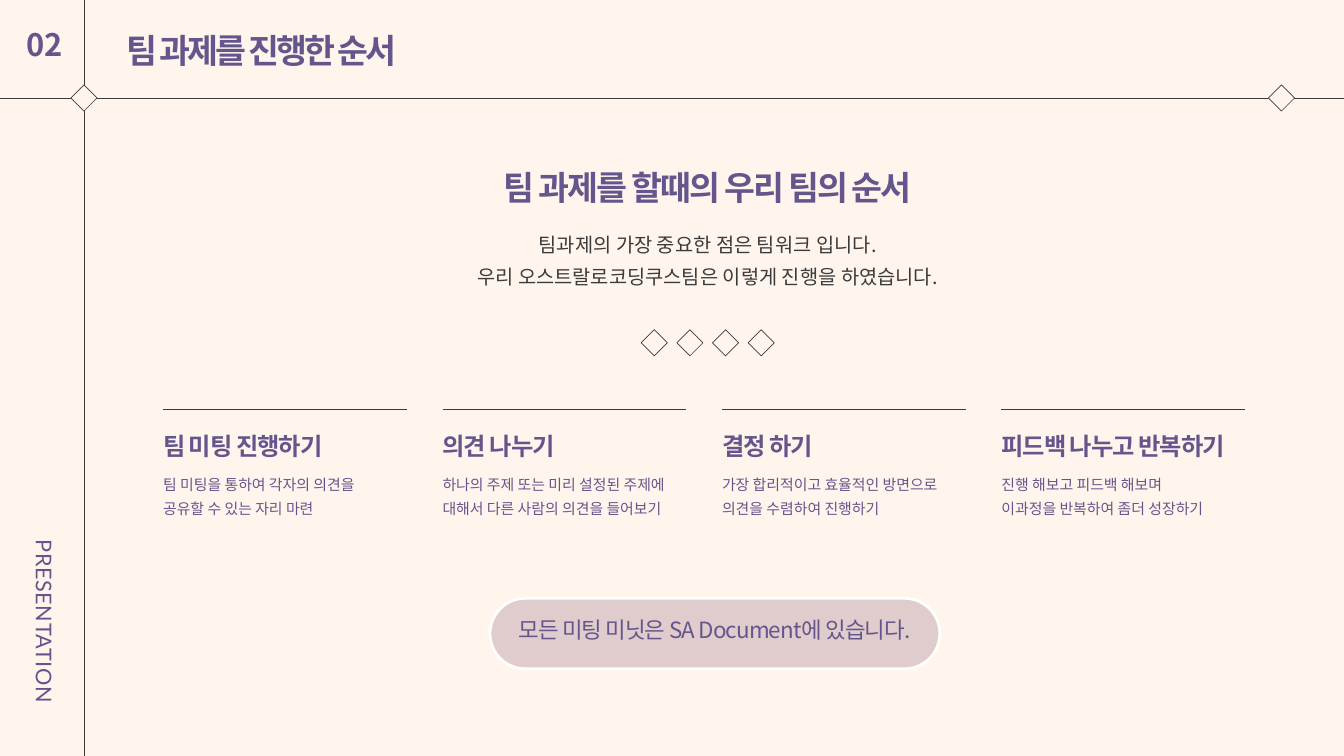
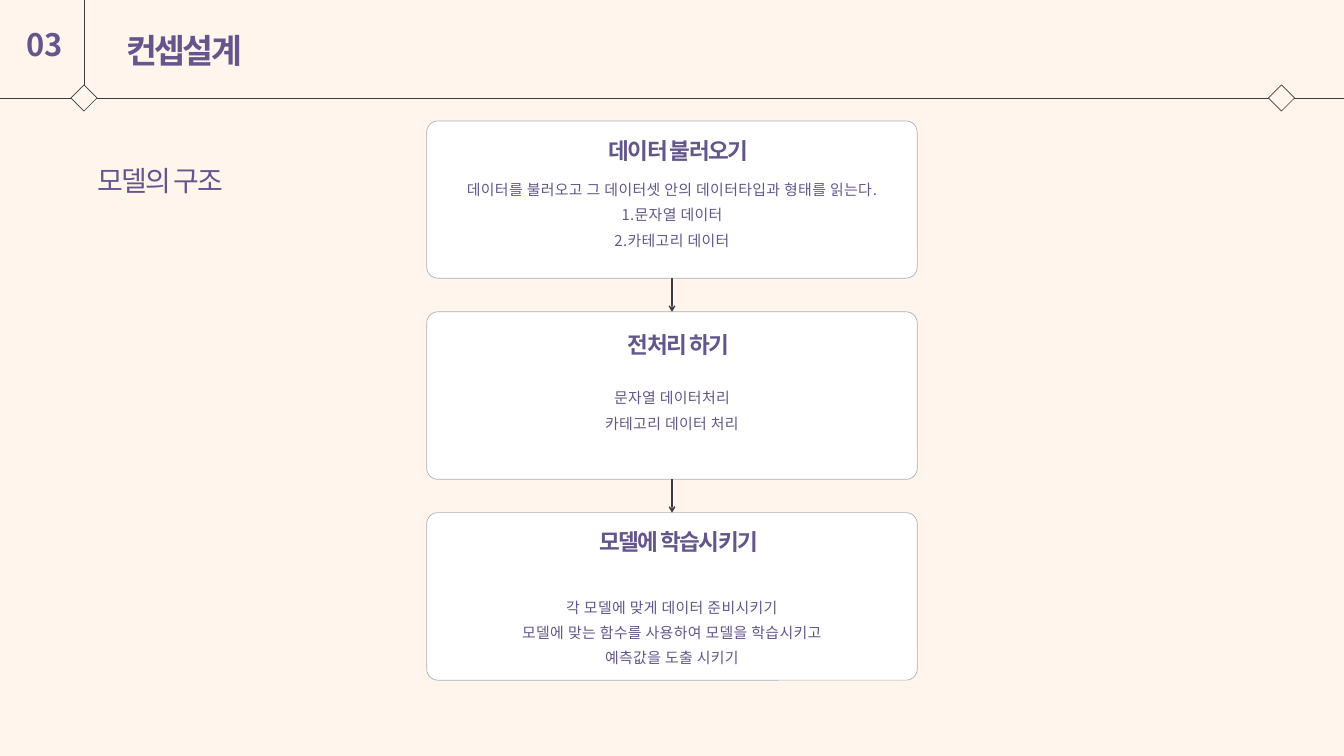
from dataclasses import dataclass
from itertools import pairwise

from lxml.etree import SubElement
from pptx import Presentation
from pptx.dml.color import RGBColor
from pptx.enum.shapes import MSO_CONNECTOR as Link, MSO_SHAPE as Form
from pptx.enum.text import MSO_ANCHOR as Anchor, MSO_AUTO_SIZE as Fit, PP_ALIGN as Align
from pptx.oxml.ns import qn
from pptx.shapes.autoshape import Shape
from pptx.shapes.connector import Connector
from pptx.slide import Slide
from pptx.text.text import TextFrame
from pptx.util import Pt

CREAM = RGBColor(0xFF, 0xF5, 0xED)
PURPLE = RGBColor(0x64, 0x56, 0x8C)
DARK = RGBColor(0x3B, 0x3B, 0x3B)
ROSE = RGBColor(0xE0, 0xCC, 0xCC)
WHITE = RGBColor(0xFF, 0xFF, 0xFF)
GRAY = RGBColor(0xA6, 0xB0, 0xB5)
KOREAN = "Noto Sans CJK KR"
WIDTH, HEIGHT = 1440, 810
RULE_X, RULE_Y = 90, 105
GEM = 28


@dataclass(frozen=True)
class Style:
    size: float
    lead: float
    space: float = 0
    bold: bool = False
    color: RGBColor = PURPLE
    align: Align = Align.LEFT
    face: str = KOREAN


@dataclass(frozen=True)
class Box:
    left: float
    top: float
    width: float
    height: float


@dataclass(frozen=True)
class Step:
    head: str
    body: str


@dataclass(frozen=True)
class Card:
    top: float
    height: float
    head: str
    head_top: float
    body: str
    body_top: float
    body_height: float


TITLE = Style(36, 50.4, -3.1, True)
NUMBER = Style(33.1, 27.1, bold=True)
SIDE = Style(23.2, 19, 0.6, face="Lato")
LEAD = Style(36, 50.4, -2, True, align=Align.CENTER)
INTRO = Style(21.2, 34.8, color=DARK, align=Align.CENTER)
STEP_HEAD = Style(26, 36.4, -1.1, True)
STEP_BODY = Style(16, 26.1)
PILL = Style(24, 32.4, -1, align=Align.CENTER)
TOPIC = Style(30, 42, -2)
CARD_HEAD = Style(24.2, 36.3, -1.7, True, align=Align.CENTER)
CARD_BODY = Style(16, 27, 0.4, align=Align.CENTER)

STEPS = (
    Step("팀 미팅 진행하기", "팀 미팅을 통하여 각자의 의견을\n공유할 수 있는 자리 마련"),
    Step("의견 나누기", "하나의 주제 또는 미리 설정된 주제에\n대해서 다른 사람의 의견을 들어보기"),
    Step("결정 하기", "가장 합리적이고 효율적인 방면으로\n의견을 수렴하여 진행하기"),
    Step("피드백 나누고 반복하기", "진행 해보고 피드백 해보며\n이과정을 반복하여 좀더 성장하기"),
)
CARDS = (
    Card(129.6, 168.5, "데이터 불러오기", 139.7,
         "데이터를 불러오고 그 데이터셋 안의 데이터타입과 형태를 읽는다.\n"
         "1.문자열 데이터\n2.카테고리 데이터", 185.8, 79),
    Card(334.1, 179.5, "전처리 하기", 347,
         "문자열 데이터처리\n카테고리 데이터 처리", 409, 52),
    Card(549.3, 179.5, "모델에 학습시키기", 558.7,
         "각 모델에 맞게 데이터 준비시키기\n"
         "모델에 맞는 함수를 사용하여 모델을 학습시키고\n"
         "예측값을 도출 시키기", 633, 106),
)


def fill_text(frame: TextFrame, text: str, style: Style) -> None:
    frame.word_wrap = True
    frame.margin_left = frame.margin_right = 0
    frame.margin_top = frame.margin_bottom = 0
    frame.text = text
    for para in frame.paragraphs:
        para.alignment = style.align
        para.line_spacing = Pt(style.lead)
        font = para.font
        font.size = Pt(style.size)
        font.bold = style.bold
        font.color.rgb = style.color
        font.name = style.face
        props = para._p.get_or_add_pPr().get_or_add_defRPr()
        props.set("spc", str(round(style.space * 100)))
        SubElement(props, qn("a:ea")).set("typeface", style.face)


def add_text(slide: Slide, box: Box, text: str, style: Style) -> Shape:
    shape = slide.shapes.add_textbox(
        Pt(box.left), Pt(box.top), Pt(box.width), Pt(box.height))
    fill_text(shape.text_frame, text, style)
    shape.text_frame.auto_size = Fit.SHAPE_TO_FIT_TEXT
    return shape


def add_form(slide: Slide, form: Form, box: Box, fill: RGBColor,
             line: RGBColor, weight: float = 0.75) -> Shape:
    shape = slide.shapes.add_shape(
        form, Pt(box.left), Pt(box.top), Pt(box.width), Pt(box.height))
    shape.shadow.inherit = False
    shape.fill.solid()
    shape.fill.fore_color.rgb = fill
    shape.line.color.rgb = line
    shape.line.width = Pt(weight)
    return shape


def add_round(slide: Slide, box: Box, radius: float, fill: RGBColor,
              line: RGBColor, weight: float = 0.75) -> Shape:
    shape = add_form(slide, Form.ROUNDED_RECTANGLE, box, fill, line, weight)
    shape.adjustments[0] = radius / min(box.width, box.height)
    return shape


def add_gem(slide: Slide, x: float, y: float) -> None:
    box = Box(x - GEM / 2, y - GEM / 2, GEM, GEM)
    add_form(slide, Form.DIAMOND, box, CREAM, DARK)


def add_line(slide: Slide, x1: float, y1: float, x2: float, y2: float,
             weight: float = 0.75) -> Connector:
    line = slide.shapes.add_connector(
        Link.STRAIGHT, Pt(x1), Pt(y1), Pt(x2), Pt(y2))
    line.line.color.rgb = DARK
    line.line.width = Pt(weight)
    SubElement(line._element.spPr, qn("a:effectLst"))
    return line


def add_arrow(slide: Slide, start: Shape, end: Shape) -> None:
    arrow = add_line(slide, 0, 0, 0, 0, 1.5)
    arrow.begin_connect(start, 2)
    arrow.end_connect(end, 0)
    SubElement(arrow.line._get_or_add_ln(), qn("a:tailEnd")).set("type", "arrow")


def add_page(deck: Presentation, number: str, title: str, foot: float) -> Slide:
    slide = deck.slides.add_slide(deck.slide_layouts[6])
    slide.background.fill.solid()
    slide.background.fill.fore_color.rgb = CREAM
    add_line(slide, 0, RULE_Y, WIDTH, RULE_Y)
    add_line(slide, RULE_X, 0, RULE_X, foot)
    for x in (RULE_X, 1373):
        add_gem(slide, x, RULE_Y)
    add_text(slide, Box(136, 24.5, 354, 48), title, TITLE)
    add_text(slide, Box(28, 40.3, 65, 30), number, NUMBER)
    return slide


def draw_order(deck: Presentation) -> None:
    slide = add_page(deck, "02", "팀 과제를 진행한 순서", HEIGHT)
    side = add_text(slide, Box(-65, 675.4, 214.6, 20.9), "PRESENTATION", SIDE)
    side.rotation = 90
    add_text(slide, Box(337.7, 172, 841, 48), "팀 과제를 할때의 우리 팀의 순서", LEAD)
    add_text(slide, Box(337.7, 239.8, 841, 67),
             "팀과제의 가장 중요한 점은 팀워크 입니다.\n"
             "우리 오스트랄로코딩쿠스팀은 이렇게 진행을 하였습니다.", INTRO)
    for i, step in enumerate(STEPS):
        add_gem(slide, 701 + 38.2 * i, 367.3)
        left = 174.8 + 299.4 * i
        add_line(slide, left, 438.5, left + 261, 438.5)
        add_text(slide, Box(left, 457.2, 261, 34.6), step.head, STEP_HEAD)
        add_text(slide, Box(left, 502.6, 261, 49.7), step.body, STEP_BODY)
    pill = add_round(slide, Box(525, 641, 482, 75.6), 37.8, ROSE, WHITE, 3)
    frame = pill.text_frame
    fill_text(frame, "모든 미팅 미닛은 SA Document에 있습니다.", PILL)
    frame.vertical_anchor = Anchor.MIDDLE
    frame.margin_bottom = Pt(12)


def draw_model(deck: Presentation) -> None:
    slide = add_page(deck, "03", "컨셉설계", RULE_Y)
    add_text(slide, Box(105, 169.2, 235.4, 40.3), "모델의 구조", TOPIC)
    forms = []
    for card in CARDS:
        box = Box(457.2, card.top, 525.6, card.height)
        forms.append(add_round(slide, box, 12, WHITE, GRAY))
        add_text(slide, Box(602.6, card.head_top, 249, 34.6), card.head, CARD_HEAD)
        add_text(slide, Box(464.4, card.body_top, 511.2, card.body_height),
                 card.body, CARD_BODY)
    for start, end in pairwise(forms):
        add_arrow(slide, start, end)


def main() -> None:
    deck = Presentation()
    deck.slide_width, deck.slide_height = Pt(WIDTH), Pt(HEIGHT)
    draw_order(deck)
    draw_model(deck)
    deck.save("out.pptx")


if __name__ == "__main__":
    main()
